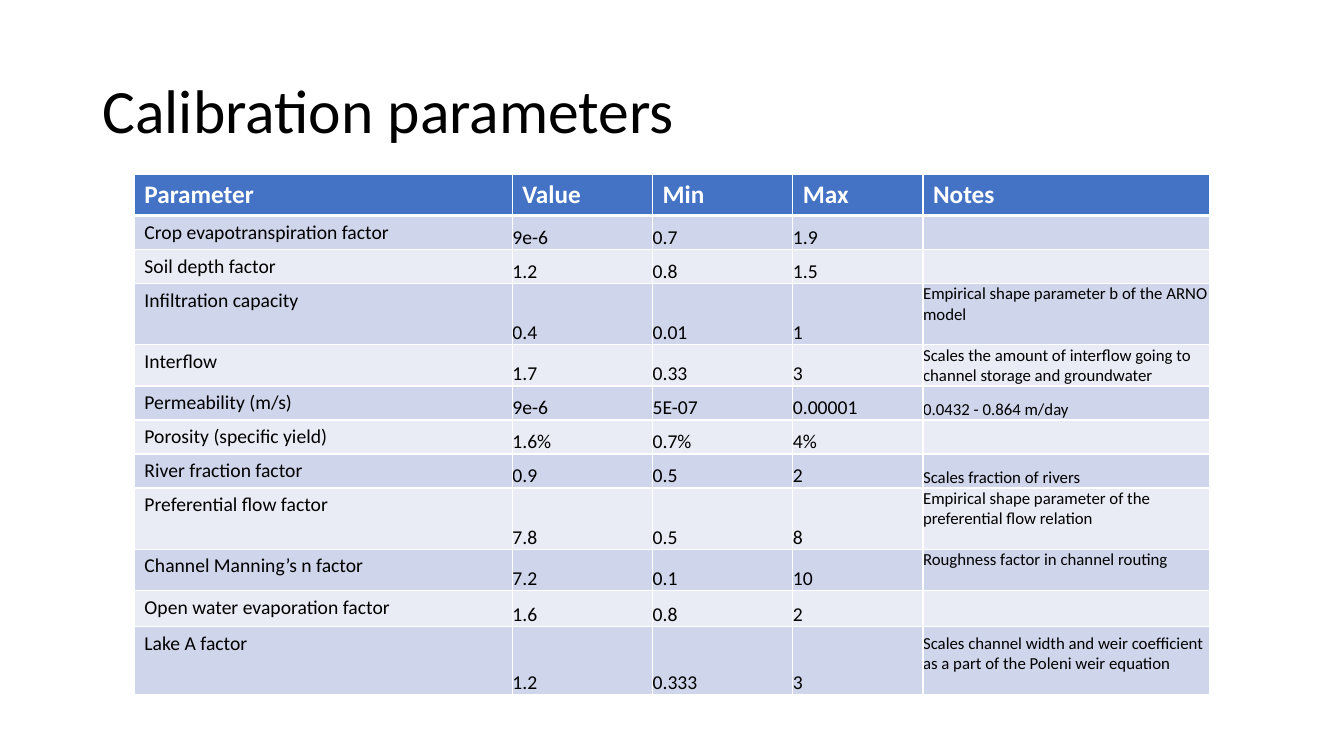
from lxml.etree import SubElement
from pptx import Presentation
from pptx.dml.color import RGBColor as Rgb
from pptx.enum.text import MSO_ANCHOR as Anchor, MSO_AUTO_SIZE as AutoSize, PP_ALIGN as Align
from pptx.oxml.ns import qn
from pptx.util import Inches, Pt

COLOURS = {"ink": "000000", "paper": "FFFFFF", "header": "4472C4",
           "odd": "CFD5EA", "even": "E9EBF5"}
GRID_COLS, GRID_ROWS = 160, 90
NOTE_LINE = 2.4  # grid rows taken by one line of a note

# Table content: the flag marks notes that sit one line above the cell's bottom
HEADINGS = ["Parameter", "Value", "Min", "Max", "Notes"]
PARAMETERS = [
    ("Crop evapotranspiration factor", "9e-6", "0.7", "1.9", "", False),
    ("Soil depth factor", "1.2", "0.8", "1.5", "", False),
    ("Infiltration capacity", "0.4", "0.01", "1",
     "Empirical shape parameter b of the ARNO model", True),
    ("Interflow", "1.7", "0.33", "3",
     "Scales the amount of interflow going to channel storage and groundwater", False),
    ("Permeability (m/s)", "9e-6", "5E-07", "0.00001", "0.0432 - 0.864 m/day", False),
    ("Porosity (specific yield)", "1.6%", "0.7%", "4%", "", False),
    ("River fraction factor", "0.9", "0.5", "2", "Scales fraction of rivers", False),
    ("Preferential flow factor", "7.8", "0.5", "8",
     "Empirical shape parameter of the preferential flow relation", True),
    ("Channel Manning’s n factor", "7.2", "0.1", "10",
     "Roughness factor in channel routing", True),
    ("Open water evaporation factor", "1.6", "0.8", "2", "", False),
    ("Lake A factor", "1.2", "0.333", "3",
     "Scales channel width and weir coefficient as a part of the Poleni weir equation", True),
]
COLUMN_SPANS = [45, 16.7, 16.7, 15.5, 34.1]
ROW_SPANS = [4.8, 4, 4, 7.3, 4.9, 4, 4, 4, 7.3, 4.9, 4.3, 8.1]


class SlideBuilder:
    """Holds the style and the current slide."""

    def __init__(self, deck, font="Calibri"):
        self.deck, self.font = deck, font
        self.slide = deck.slides.add_slide(deck.slide_layouts[5])

    def across(self, columns):
        return round(self.deck.slide_width * columns / GRID_COLS)

    def down(self, rows):
        return round(self.deck.slide_height * rows / GRID_ROWS)

    def box(self, left, top, width, height):
        return self.across(left), self.down(top), self.across(width), self.down(height)

    def label(self, frame, text, size, colour="ink", bold=False):
        paragraph = frame.paragraphs[0]
        paragraph.alignment = Align.LEFT
        if text:
            run = paragraph.add_run()
            run.text = text
            for name, value in {"name": self.font, "size": Pt(size), "bold": bold}.items():
                setattr(run.font, name, value)
            run.font.color.rgb = Rgb.from_string(COLOURS[colour])
        return paragraph

    def title(self, text, place):
        heading = self.slide.shapes.title
        for name, value in zip(("left", "top", "width", "height"), self.box(*place)):
            setattr(heading, name, value)
        frame = heading.text_frame
        for name, value in {"word_wrap": True, "auto_size": AutoSize.NONE,
                            "vertical_anchor": Anchor.MIDDLE}.items():
            setattr(frame, name, value)
        self.label(frame, text, 44).line_spacing = 0.9

    def borders(self, cell, bottom=1):
        properties = cell._tc.get_or_add_tcPr()
        for side, points in {"L": 1, "R": 1, "T": 1, "B": bottom}.items():
            line = SubElement(properties, qn(f"a:ln{side}"), w=str(Pt(points)))
            fill = SubElement(line, qn("a:solidFill"))
            SubElement(fill, qn("a:srgbClr"), val=COLOURS["paper"])

    def cell(self, cell, text, size, fill, colour="ink", bold=False, flush=False, raised=0):
        self.borders(cell, bottom=3 if fill == "header" else 1)
        cell.fill.solid()
        cell.fill.fore_color.rgb = Rgb.from_string(COLOURS[fill])
        if flush:
            for name, value in {"margin_left": 0, "margin_right": 0, "margin_top": 0,
                                "margin_bottom": self.down(raised),
                                "vertical_anchor": Anchor.BOTTOM}.items():
                setattr(cell, name, value)
        self.label(cell.text_frame, text, size, colour, bold)

    def table(self, left, top):
        place = self.box(left, top, sum(COLUMN_SPANS), sum(ROW_SPANS))
        grid = self.slide.shapes.add_table(len(ROW_SPANS), len(COLUMN_SPANS), *place).table
        for column, span in zip(grid.columns, COLUMN_SPANS):
            column.width = self.across(span)
        for row, span in zip(grid.rows, ROW_SPANS):
            row.height = self.down(span)

        # Header
        for c, heading in enumerate(HEADINGS):
            self.cell(grid.cell(0, c), heading, 18, "header", "paper", bold=True)

        # Body: name, three figures, note
        for r, (*texts, lifted) in enumerate(PARAMETERS, start=1):
            band = "odd" if r % 2 else "even"
            for c, text in enumerate(texts):
                is_note = c == len(HEADINGS) - 1
                self.cell(grid.cell(r, c), text, 12 if is_note else 14, band, flush=c > 0,
                          raised=NOTE_LINE if is_note and lifted else 0)


def main():
    deck = Presentation()
    deck.slide_width, deck.slide_height = Inches(13.33), Inches(7.5)
    page = SlideBuilder(deck)
    page.title("Calibration parameters", (11, 4.8, 138, 17.4))
    page.table(16, 20.8)
    deck.save("out.pptx")


if __name__ == "__main__":
    main()
